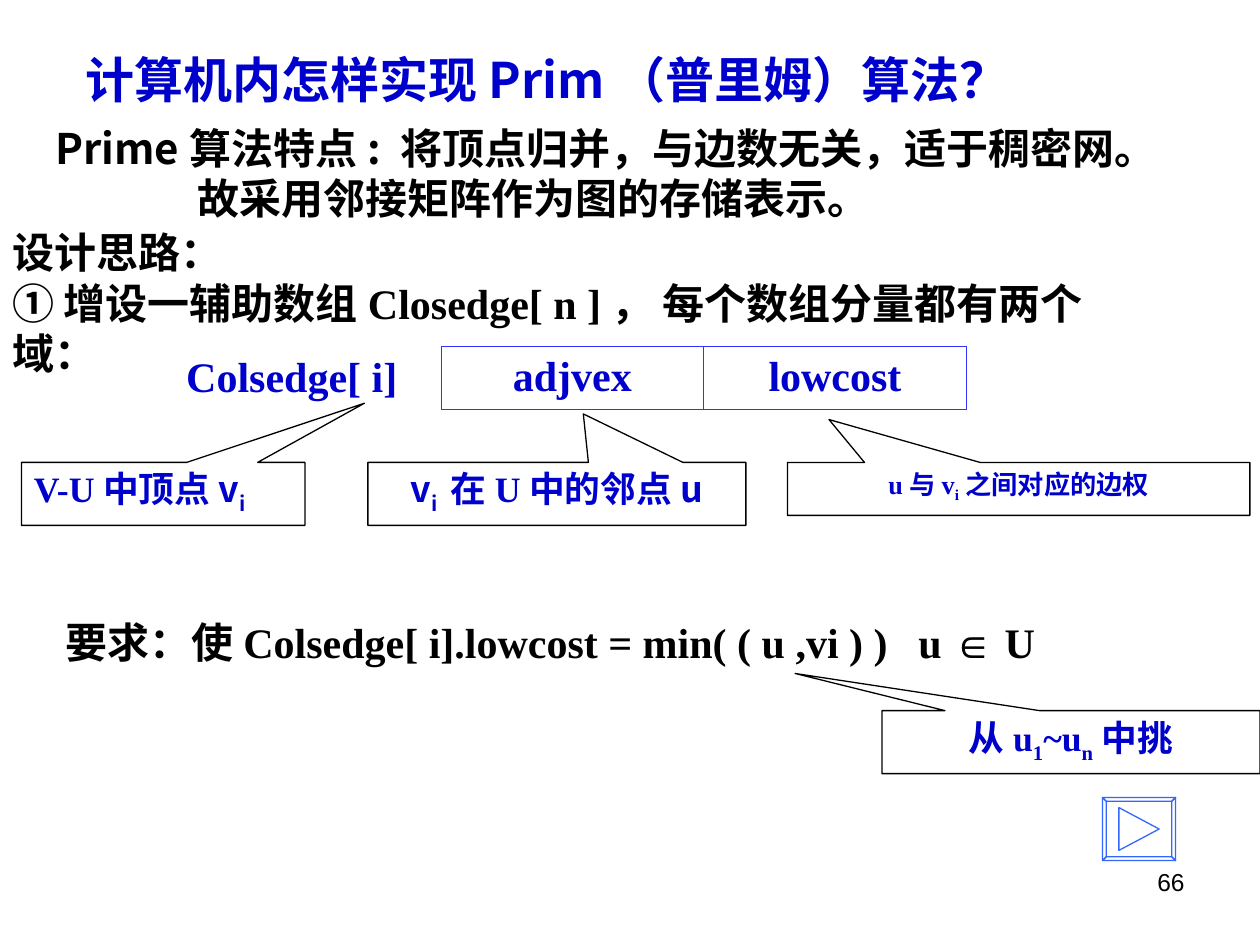
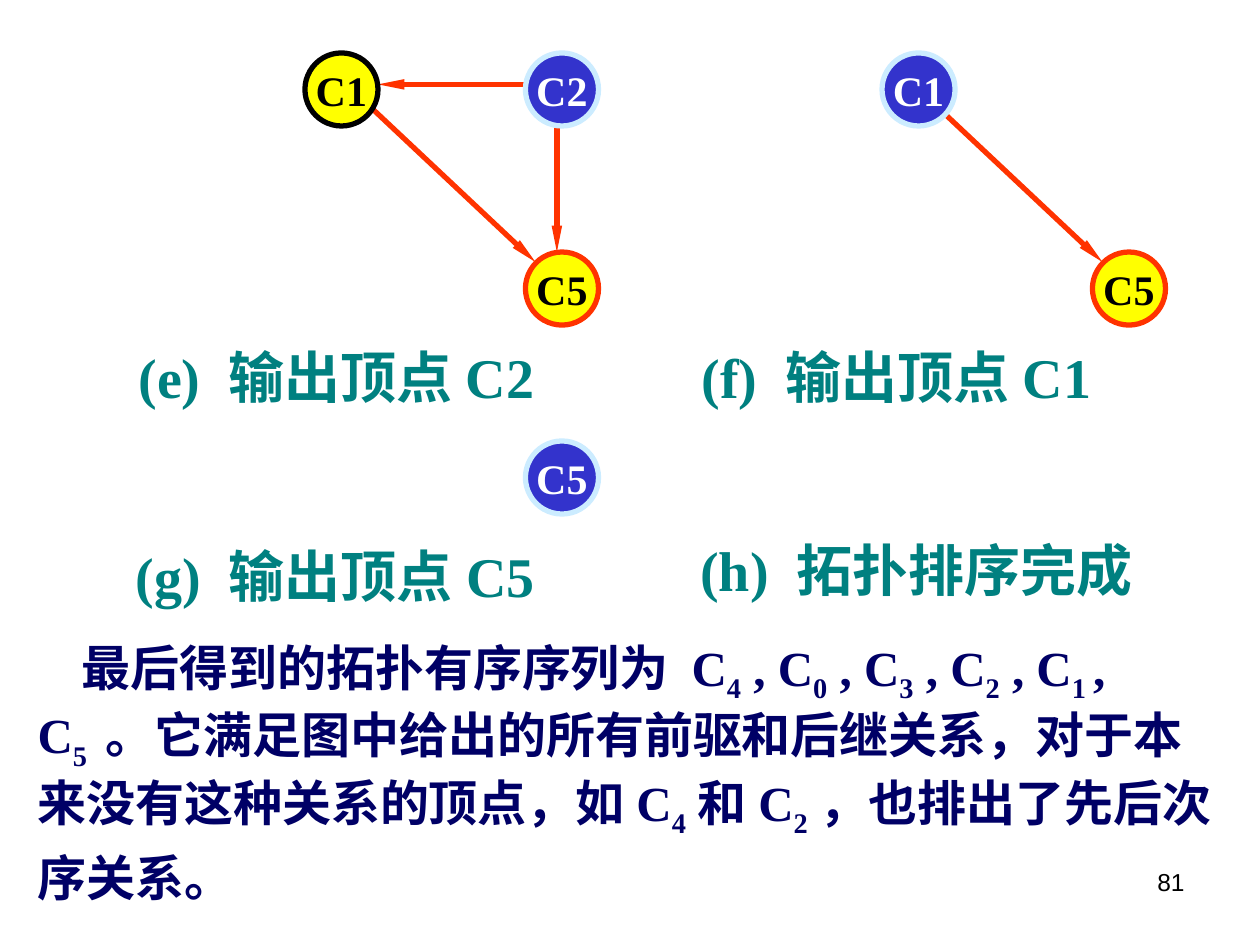
from lxml.etree import SubElement
from pptx import Presentation
from pptx.dml.color import RGBColor
from pptx.enum.shapes import MSO_CONNECTOR as Connector, MSO_SHAPE as Shape
from pptx.enum.text import MSO_ANCHOR as Anchor, MSO_AUTO_SIZE as AutoSize, PP_ALIGN as Align
from pptx.oxml import parse_xml
from pptx.oxml.ns import nsdecls, qn
from pptx.util import Inches, Pt

# Shared style
CJK, TIMES, ARIAL = "Noto Sans CJK SC", "Times New Roman", "Arial"
BLACK, WHITE, BLUE, NAVY, TEAL = "000000", "FFFFFF", "0000CC", "000066", "008080"
RED, YELLOW, GRID, BUTTON = "FF3300", "FFFF00", "3333FF", "3366FF"
NODE_SIZE = 0.58
# Node states: fill, outline, label colour
WAITING = (YELLOW, BLACK, BLACK)
LAST = (YELLOW, RED, BLACK)
REMOVED = ("3333CC", "CCECFF", WHITE)


def color(value):
    return RGBColor.from_string(value)


def place(*lengths):
    return [Inches(length) for length in lengths]


def style_run(span, font, size, ink, bold, subscript):
    span.font.size = Pt(size)
    span.font.bold = bold
    span.font.color.rgb = color(ink)
    span.font.name = font
    properties = span.font._element
    east_asian = SubElement(properties, qn("a:ea"))
    east_asian.set("typeface", ARIAL if font == ARIAL else CJK)
    if subscript:
        properties.set("baseline", "-25000")


def write(para, pieces, size, ink, align=Align.LEFT, bold=True, pitch=1.2):
    """Write (text, font) pieces; text between two bars is subscript."""
    para.alignment = align
    para.line_spacing = Pt(round(size * pitch, 1))
    for text, font in pieces:
        for index, part in enumerate(text.split("|")):
            if part:
                span = para.add_run()
                span.text = part
                style_run(span, font, size, ink, bold, index % 2 == 1)


def set_indent(para, first=0, left=0):
    properties = para._p.get_or_add_pPr()
    properties.set("marL", str(Inches(left)))
    properties.set("indent", str(Inches(first)))


def set_tab(para, position):
    tabs = SubElement(para._p.get_or_add_pPr(), qn("a:tabLst"))
    SubElement(tabs, qn("a:tab"), pos=str(Inches(position)), algn="l")


def add_text(page, area, lines, size, ink, wrap=True, **options):
    frame = page.shapes.add_textbox(*place(*area)).text_frame
    frame.word_wrap = wrap
    for index, pieces in enumerate(lines):
        para = frame.add_paragraph() if index else frame.paragraphs[0]
        write(para, pieces, size, ink, **options)
    return frame


def add_page_number(page, number):
    add_text(page, (7.17, 6.83, 2.33, 0.52), [[(number, ARIAL)]], 14, BLACK,
             align=Align.RIGHT, bold=False)


def add_title(page, text):
    title = page.shapes.title
    title.left, title.top, title.width, title.height = place(0.58, 0.38, 7.56, 0.5)
    frame = title.text_frame
    frame.auto_size = AutoSize.NONE
    frame.vertical_anchor = Anchor.MIDDLE
    frame.margin_right = 0
    write(frame.paragraphs[0], [(text, CJK)], 28, BLUE)


def set_outline(shape, line, width):
    shape.shadow.inherit = False
    shape.fill.background()
    shape.line.color.rgb = color(line)
    shape.line.width = Pt(width)


def add_callout(page, area, tip, pieces, size=20.4, align=Align.CENTER):
    box = page.shapes.add_shape(Shape.RECTANGULAR_CALLOUT, *place(*area))
    set_outline(box, BLACK, 0.75)
    box.adjustments[0], box.adjustments[1] = tip
    box.text_frame.word_wrap = True
    box.text_frame.vertical_anchor = Anchor.TOP
    write(box.text_frame.paragraphs[0], pieces, size, BLUE, align, pitch=1.33)


def add_field_table(page, area, fields):
    table = page.shapes.add_table(1, len(fields), *place(*area)).table
    table.first_row = table.horz_banding = False
    for cell, field in zip(table.iter_cells(), fields):
        cell.fill.solid()
        cell.fill.fore_color.rgb = color(WHITE)
        write(cell.text_frame.paragraphs[0], [(field, TIMES)], 24, BLUE,
              Align.CENTER, pitch=1.13)
        for index, side in enumerate("LRTB"):
            border = parse_xml(
                f'<a:ln{side} {nsdecls("a")} w="{Pt(0.45)}"><a:solidFill>'
                f'<a:srgbClr val="{GRID}"/></a:solidFill></a:ln{side}>')
            cell._tc.get_or_add_tcPr().insert(index, border)


def add_next_button(page, left, top, width, height, bevel=0.03):
    right, bottom = left + width, top + height
    outer = [(left, top), (right, top), (right, bottom), (left, bottom)]
    inner = [(left + bevel, top + bevel), (right - bevel, top + bevel),
             (right - bevel, bottom - bevel), (left + bevel, bottom - bevel)]
    middle = top + height / 2
    arrow = [(left + 0.13, middle - 0.17), (left + 0.45, middle), (left + 0.13, middle + 0.17)]
    sides = [[outer[i], outer[(i + 1) % 4], inner[(i + 1) % 4], inner[i]] for i in range(4)]
    builder = page.shapes.build_freeform(*place(*outer[0]))
    builder.add_line_segments([place(*point) for point in outer[1:]], close=True)
    for start, *rest in sides + [arrow]:
        builder.move_to(*place(*start))
        builder.add_line_segments([place(*point) for point in rest], close=True)
    set_outline(builder.convert_to_shape(), BUTTON, 0.75)


def add_edge(page, start, end):
    edge = page.shapes.add_connector(Connector.STRAIGHT, *place(*start, *end))
    edge.line.color.rgb = color(RED)
    edge.line.width = Pt(3)
    SubElement(edge.line._get_or_add_ln(), qn("a:tailEnd"), type="triangle", w="sm", len="lg")
    SubElement(edge._element.spPr, qn("a:effectLst"))


def add_node(page, left, top, label, state):
    fill, outline, ink = state
    node = page.shapes.add_shape(Shape.OVAL, *place(left, top, NODE_SIZE, NODE_SIZE))
    set_outline(node, outline, 3)
    node.fill.solid()
    node.fill.fore_color.rgb = color(fill)
    node.text_frame.word_wrap = False
    node.text_frame.vertical_anchor = Anchor.MIDDLE
    write(node.text_frame.paragraphs[0], [(label, TIMES)], 24, ink, Align.CENTER)


def build_prim_page(page):
    add_title(page, "计算机内怎样实现Prim（普里姆）算法？")
    add_page_number(page, "66")

    # Features and design idea
    features = add_text(page, (0.34, 0.92, 8.94, 0.9), [
        [("Prime算法特点: 将顶点归并，与边数无关，适于稠密网。", CJK)],
        [("故采用邻接矩阵作为图的存储表示。", CJK)],
    ], 24, BLACK, wrap=False)
    set_indent(features.paragraphs[1], left=1.13)
    add_text(page, (0, 1.75, 8.9, 0.9), [
        [("设计思路：", CJK)],
        [("① 增设一辅助数组", CJK), ("Closedge[ n ]， ", TIMES), ("每个数组分量都有两个域：", CJK)],
    ], 24, BLACK)

    # Array element and its fields
    add_text(page, (1.38, 2.73, 1.96, 0.5), [[("Colsedge[ i]", TIMES)]], 24, BLUE)
    add_field_table(page, (3.5, 2.75, 4.17, 0.5), ["adjvex", "lowcost"])
    add_callout(page, (0.17, 3.67, 2.25, 0.5), (0.71, -1.44),
                [("V-U", TIMES), ("中顶点v|i|", CJK)], align=Align.LEFT)
    add_callout(page, (2.92, 3.67, 3, 0.5), (0.07, -1.27),
                [("v|i |", CJK), ("在U", TIMES), ("中的邻点u", CJK)])
    add_callout(page, (6.25, 3.67, 3.67, 0.42), (-0.41, -1.31),
                [("u与v|i|之间对应的边权", TIMES)], size=15)

    # Requirement
    requirement = add_text(page, (0.42, 4.83, 8.33, 0.5), [
        [("要求：使Colsedge[ i].lowcost = min( ( u ,vi ) )\tu ", TIMES), ("∈", ARIAL), (" U", TIMES)],
    ], 24, BLACK, pitch=1.25)
    set_tab(requirement.paragraphs[0], 6.77)
    add_callout(page, (7, 5.64, 3, 0.5), (-0.73, -1.09), [("从u|1|~u|n|中挑", TIMES)])
    add_next_button(page, 8.75, 6.33, 0.58, 0.5)


def build_sorting_page(page):
    add_page_number(page, "81")

    # Edges first, so that the nodes cover their ends
    for start, end in [((4.17, 0.67), (3, 0.67)), ((4.42, 1), (4.42, 2)),
                       ((2.92, 0.83), (4.25, 2.08)), ((7.42, 0.83), (8.75, 2.08))]:
        add_edge(page, start, end)
    for left, top, label, state in [
        (2.42, 0.42, "C1", WAITING), (4.17, 0.42, "C2", REMOVED), (4.17, 2, "C5", LAST),
        (7, 0.42, "C1", REMOVED), (8.67, 2, "C5", LAST), (4.17, 3.5, "C5", REMOVED),
    ]:
        add_node(page, left, top, label, state)

    # Step captions
    for left, top, width, caption in [
        (1, 2.67, 3.4, "(e) 输出顶点C2"), (5.47, 2.67, 3.4, "(f) 输出顶点C1"),
        (0.98, 4.25, 3.4, "(g) 输出顶点C5"), (5.46, 4.2, 3.7, "(h) 拓扑排序完成"),
    ]:
        add_text(page, (left, top, width, 0.64), [[(caption, TIMES)]], 32, TEAL)

    # Conclusion
    conclusion = add_text(page, (0.2, 5.01, 9.6, 1.63), [[(
        "最后得到的拓扑有序序列为 C|4| , C|0| , C|3| , C|2| , C|1 |, C|5 |"
        "。它满足图中给出的所有前驱和后继关系，对于本来没有这种关系的顶点，"
        "如C|4|和C|2|，也排出了先后次序关系。", TIMES)]], 28, NAVY, pitch=1.37)
    set_indent(conclusion.paragraphs[0], first=0.35)


def main():
    deck = Presentation()
    deck.slide_width, deck.slide_height = Inches(10), Inches(7.5)
    title_only, blank = deck.slide_layouts[5], deck.slide_layouts[6]
    build_prim_page(deck.slides.add_slide(title_only))
    build_sorting_page(deck.slides.add_slide(blank))
    deck.save("out.pptx")


if __name__ == "__main__":
    main()
